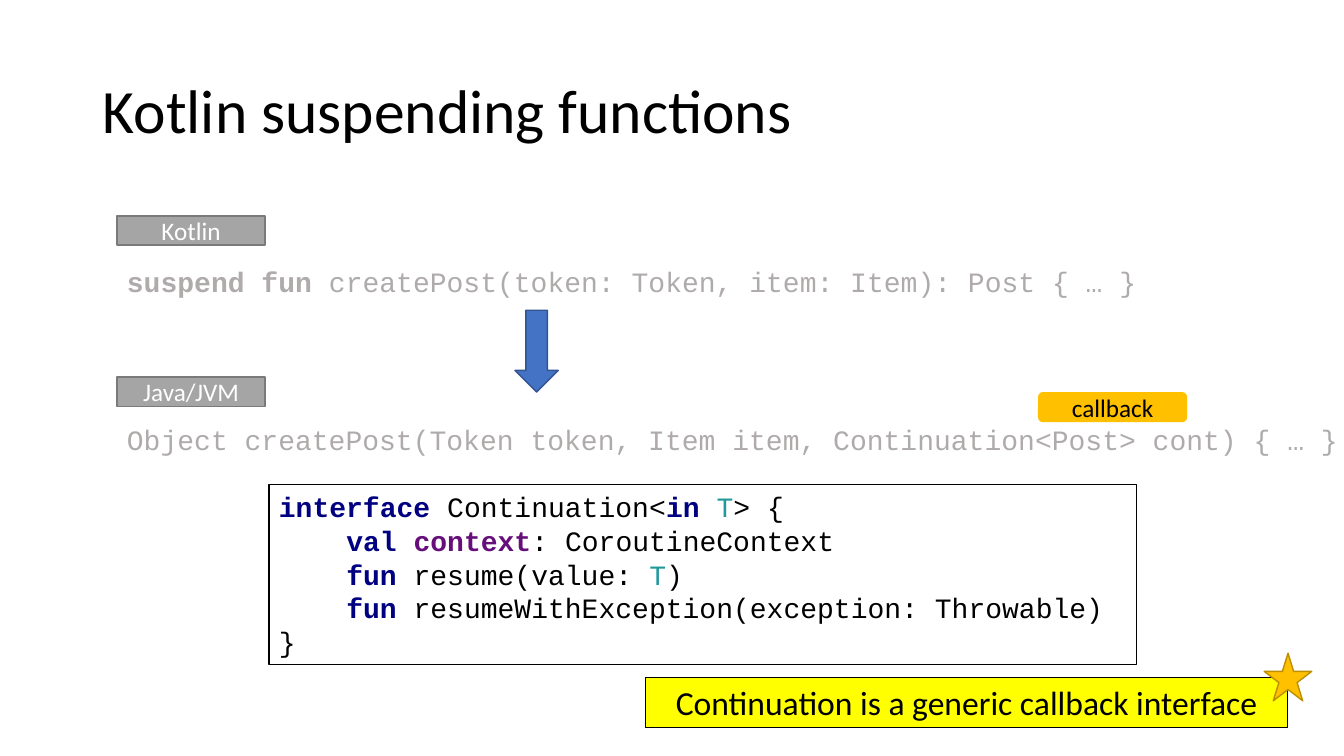
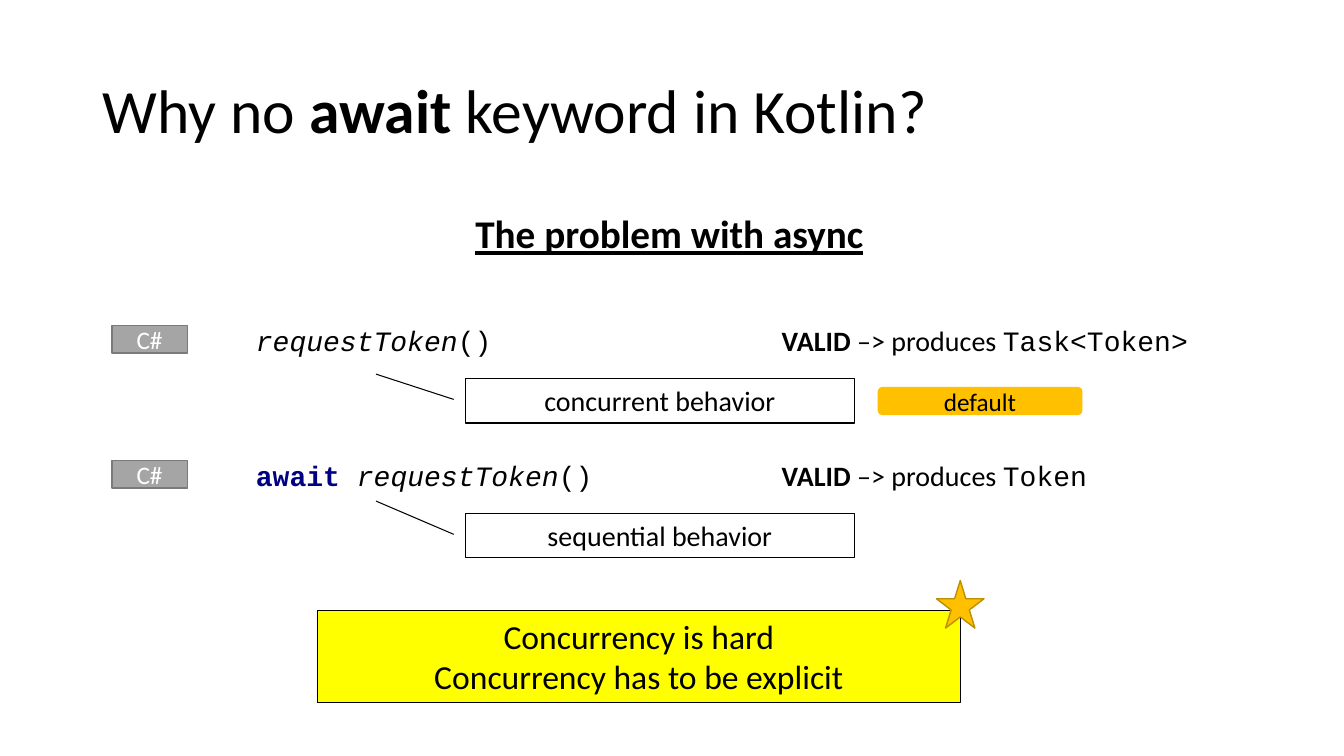
from pptx import Presentation
from pptx import util as u
from pptx.dml.color import RGBColor
from pptx.enum import shapes, text

Cm, Pt = u.Cm, u.Pt
MSO = shapes.MSO_SHAPE
ALIGN, ANCHOR, FIT = text.PP_ALIGN, text.MSO_ANCHOR, text.MSO_AUTO_SIZE

# Colours
BLACK = RGBColor(0x00, 0x00, 0x00)
WHITE = RGBColor(0xFF, 0xFF, 0xFF)
YELLOW = RGBColor(0xFF, 0xFF, 0x00)
GOLD = RGBColor(0xFF, 0xC0, 0x00)
GOLD_EDGE = RGBColor(0xBD, 0x8E, 0x00)
GREY = RGBColor(0xA5, 0xA5, 0xA5)
GREY_EDGE = RGBColor(0x7A, 0x7A, 0x7A)
FADED = RGBColor(0xAF, 0xAB, 0xAB)
BLUE = RGBColor(0x44, 0x72, 0xC4)
BLUE_EDGE = RGBColor(0x32, 0x54, 0x91)
NAVY = RGBColor(0x00, 0x00, 0x80)
PURPLE = RGBColor(0x66, 0x0E, 0x7A)
TEAL = RGBColor(0x20, 0x99, 0x9D)

# Text formats
PLAIN = {"name": "Calibri", "size": Pt(20), "color": BLACK}
CODE = {**PLAIN, "name": "Courier New"}
TITLE = {**PLAIN, "size": Pt(44)}
HEADING = {**PLAIN, "size": Pt(28), "bold": True, "underline": True}
MESSAGE = {**PLAIN, "size": Pt(24)}
TAG = {**PLAIN, "size": Pt(18)}
BADGE = {**TAG, "color": WHITE}

# Run formats
BOLD = {"bold": True}
ITALIC = {"italic": True}
MONO = {"name": "Courier New"}
KEYWORD = {"bold": True, "color": NAVY}
FIELD = {"bold": True, "color": PURPLE}
TYPE = {"color": TEAL}


class Deck:
    """Holds the shared style and the slide being built."""

    def __init__(self):
        self.presentation = Presentation()
        self.presentation.slide_width = Cm(33.87)
        self.presentation.slide_height = Cm(19.05)
        self.slide = None

    def new_slide(self, *title_runs):
        layout = self.presentation.slide_layouts[5]
        self.slide = self.presentation.slides.add_slide(layout)
        title = self.slide.shapes.title
        place = zip(("left", "top", "width", "height"), (2.34, 1.02, 29.21, 3.68))
        for name, value in place:
            setattr(title, name, Cm(value))
        self.fill_text(title, [title_runs], TITLE, ALIGN.LEFT, ANCHOR.MIDDLE, FIT.NONE)
        title.text_frame.paragraphs[0].line_spacing = 0.9

    def fill_text(self, shape, lines, style, align, anchor, fit, wrap=True):
        """Fill a shape with lines of runs; a run is a string or (string, format)."""
        frame = shape.text_frame
        settings = {"word_wrap": wrap, "auto_size": fit, "vertical_anchor": anchor}
        for name, value in settings.items():
            setattr(frame, name, value)
        paragraph = frame.paragraphs[0]
        paragraph.alignment = align
        for index, line in enumerate(lines):
            if index:
                paragraph.add_line_break()
            for part in line:
                words, changes = (part, {}) if isinstance(part, str) else part
                run = paragraph.add_run()
                run.text = words
                for name, value in {**style, **changes}.items():
                    if name == "color":
                        run.font.color.rgb = value
                    else:
                        setattr(run.font, name, value)

    def shape(self, kind, at, fill=None, edge=None, weight=1):
        shape = self.slide.shapes.add_shape(kind, *map(Cm, at))
        shape.shadow.inherit = False
        if fill is None:
            shape.fill.background()
        else:
            shape.fill.solid()
            shape.fill.fore_color.rgb = fill
        if edge is None:
            shape.line.fill.background()
        else:
            shape.line.color.rgb = edge
            shape.line.width = Pt(weight)
        return shape

    def text(self, at, *runs, style=PLAIN, wrap=True):
        box = self.slide.shapes.add_textbox(*map(Cm, at))
        self.fill_text(box, [runs], style, ALIGN.LEFT, ANCHOR.TOP,
                       FIT.SHAPE_TO_FIT_TEXT, wrap)

    def panel(self, at, lines, style=CODE, align=ALIGN.LEFT, fill=None, edge=BLACK,
              kind=MSO.RECTANGLE):
        panel = self.shape(kind, at, fill, edge, 0.75)
        self.fill_text(panel, lines, style, align, ANCHOR.TOP, FIT.SHAPE_TO_FIT_TEXT)
        return panel

    def badge(self, at, label):
        badge = self.shape(MSO.RECTANGLE, at, GREY, GREY_EDGE)
        self.fill_text(badge, [[label]], BADGE, ALIGN.CENTER, ANCHOR.MIDDLE, FIT.NONE)

    def tag(self, at, label):
        tag = self.shape(MSO.ROUNDED_RECTANGLE, at, GOLD)
        self.fill_text(tag, [[label]], TAG, ALIGN.CENTER, ANCHOR.MIDDLE, FIT.NONE)

    def callout(self, at, label, line_end):
        callout = self.panel(at, [[label]], PLAIN, ALIGN.CENTER, kind=MSO.LINE_CALLOUT_1)
        for index, value in enumerate((0.47, -0.03, line_end, -0.23)):
            callout.adjustments[index] = value

    def message(self, left, top, height, lines, star_rise):
        """Yellow conclusion with a star centred on its right edge."""
        width, star = 16.2, 1.2
        self.panel((left, top, width, height), [[line] for line in lines],
                   MESSAGE, ALIGN.CENTER, YELLOW)
        self.shape(MSO.STAR_5_POINT,
                   (left + width - star / 2, top - star_rise, star, star), GOLD, GOLD_EDGE)


def suspending_functions(deck):
    deck.new_slide("Kotlin suspending functions")
    faded = {**CODE, "color": FADED}

    # Source and compiled signatures
    deck.shape(MSO.DOWN_ARROW, (12.98, 7.82, 1.09, 2.06), BLUE, BLUE_EDGE)
    for label, top in (("Kotlin", 5.44), ("Java/JVM", 9.5)):
        deck.badge((2.95, top, 3.73, 0.74), label)
    deck.tag((26.16, 9.88, 3.76, 0.76), "callback")
    deck.text((2.95, 6.55, 26.49, 1.12), ("suspend fun ", BOLD),
              "createPost(token: Token, item: Item): Post { … }", style=faded)
    deck.text((2.95, 10.52, 31.37, 1.12),
              "Object createPost(Token token, Item item, Continuation<Post> cont) { … }",
              style=faded)

    # Interface listing
    deck.panel((6.78, 12.22, 21.87, 4.52), [
        [("interface ", KEYWORD), "Continuation<", ("in ", KEYWORD), ("T", TYPE), "> {"],
        ["    ", ("val ", KEYWORD), ("context", FIELD), ": CoroutineContext"],
        ["    ", ("fun ", KEYWORD), "resume(value: ", ("T", TYPE), ")"],
        ["    ", ("fun ", KEYWORD), "resumeWithException(exception: Throwable)"],
        ["}"],
    ])
    deck.message(16.26, 17.07, 1.27, ["Continuation is a generic callback interface"], 0.61)


def no_await_keyword(deck):
    deck.new_slide("Why no ", ("await", BOLD), " keyword in Kotlin?")
    deck.text((11.73, 5.16, 10.41, 1.45), "The problem with async", style=HEADING, wrap=False)

    # One row per call: code, result and behavior
    call = [("requestToken", ITALIC), "()"]
    rows = (
        (call, "Task<Token>", "concurrent behavior", -0.1),
        ([("await ", KEYWORD)] + call, "Token", "sequential behavior", -0.28),
    )
    for index, (code, result, behavior, line_end) in enumerate(rows):
        top = 8.03 + 3.4 * index
        deck.badge((2.82, top + 0.18, 1.9, 0.69), "C#")
        deck.panel((6.2, top, 13.2, 1.12), [code], fill=WHITE, edge=None)
        deck.text((19.45, top, 13.56, 1.12), ("VALID ", BOLD), "–> produces ", (result, MONO))
        deck.callout((11.73, top + 1.51, 9.8, 1.12), behavior, line_end)
    deck.tag((22.12, 9.75, 5.16, 0.71), "default")

    deck.message(8, 15.39, 2.31,
                 ["Concurrency is hard", "Concurrency has to be explicit"], 0.76)


def main():
    deck = Deck()
    suspending_functions(deck)
    no_await_keyword(deck)
    deck.presentation.save("out.pptx")


if __name__ == "__main__":
    main()
